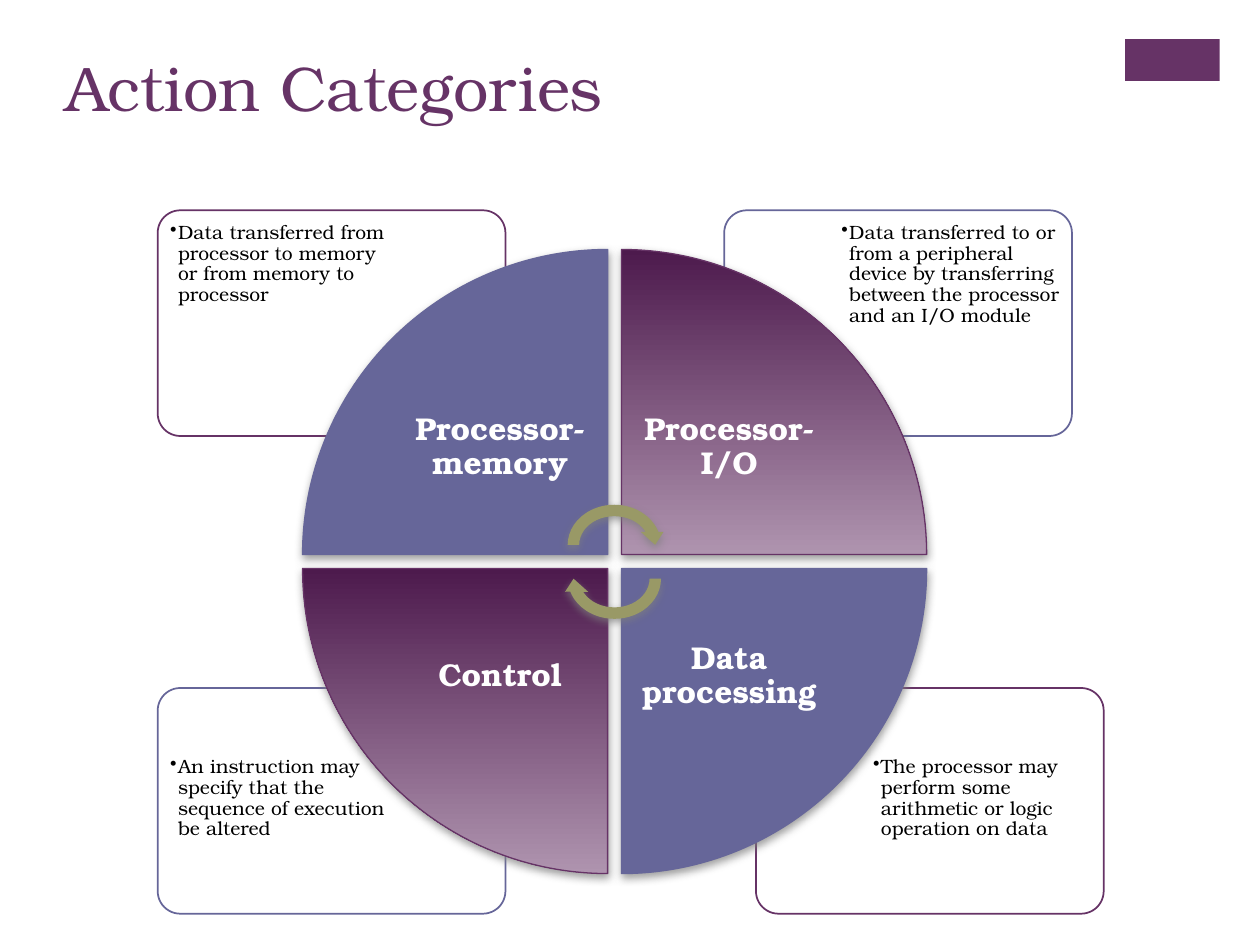
from lxml.etree import SubElement
from pptx import Presentation
from pptx.dml.color import RGBColor
from pptx.enum.shapes import MSO_SHAPE
from pptx.enum.text import MSO_ANCHOR, PP_ALIGN
from pptx.oxml.ns import qn
from pptx.util import Cm, Pt

FONT = "TeX Gyre Bonum"
PLUM = RGBColor(0x66, 0x33, 0x66)
DARK_PLUM = RGBColor(0x4D, 0x1A, 0x4D)
PALE_PLUM = RGBColor(0xAF, 0x94, 0xAF)
BLUE = RGBColor(0x66, 0x66, 0x99)
OLIVE = RGBColor(0x99, 0x99, 0x66)
WHITE = RGBColor(0xFF, 0xFF, 0xFF)
BLACK = RGBColor(0x00, 0x00, 0x00)

presentation = Presentation()
presentation.slide_width = Cm(25.4)
presentation.slide_height = Cm(19.05)
slide = presentation.slides.add_slide(presentation.slide_layouts[6])


def add_text(text, left, top, width, height, size, color, bold=False, inset=0.25,
             align=PP_ALIGN.LEFT, anchor=MSO_ANCHOR.TOP, spacing=1.0, bullet=False):
    frame = slide.shapes.add_textbox(Cm(left), Cm(top), Cm(width), Cm(height)).text_frame
    frame.word_wrap = True
    frame.vertical_anchor = anchor
    frame.margin_left = frame.margin_right = Cm(inset)
    frame.margin_top = frame.margin_bottom = Cm(min(inset, 0.36) if inset != 0.25 else 0.13)
    paragraph = frame.paragraphs[0]
    paragraph.alignment = align
    paragraph.line_spacing = spacing
    run = paragraph.add_run()
    run.text = text
    run.font.name = FONT
    run.font.size = Pt(size)
    run.font.bold = bold
    run.font.color.rgb = color
    if bullet:
        properties = paragraph._p.get_or_add_pPr()
        properties.set("marL", str(Cm(0.16)))
        properties.set("indent", str(-Cm(0.16)))
        SubElement(properties, qn("a:buChar")).set("char", "•")


def add_shape(kind, left, top, width, height, fill=None, line=None, line_width=0.75,
              rotation=0, shadow=False):
    shape = slide.shapes.add_shape(kind, Cm(left), Cm(top), Cm(width), Cm(height))
    shape.rotation = rotation
    shape.shadow.inherit = False
    if fill is None:
        shape.fill.gradient()
        shape.fill.gradient_angle = 270
        for stop, color in zip(shape.fill.gradient_stops, (DARK_PLUM, PALE_PLUM)):
            stop.color.rgb = color
        shape._element.spPr.find(qn("a:gradFill")).set("rotWithShape", "0")
    else:
        shape.fill.solid()
        shape.fill.fore_color.rgb = fill
    if line is None:
        shape.line.fill.background()
    else:
        shape.line.color.rgb = line
        shape.line.width = Pt(line_width)
    if shadow:
        effects = shape._element.spPr.find(qn("a:effectLst"))
        outer = SubElement(effects, qn("a:outerShdw"), blurRad=str(Pt(5)), dist=str(Pt(2)),
                           dir="5400000", rotWithShape="0")
        color = SubElement(outer, qn("a:srgbClr"), val="808080")
        SubElement(color, qn("a:alpha"), val="75000")
    return shape


add_shape(MSO_SHAPE.RECTANGLE, 22.68, 0.79, 1.91, 0.84, fill=PLUM)
add_text("Action Categories", 1.07, 0.84, 21.41, 3.1, size=36, color=PLUM)

BOX_WIDTH, BOX_HEIGHT = 7.01, 4.55
NOTE_WIDTH, NOTE_HEIGHT = 4.7, 3.2
notes = [
    (15.24, 13.87, PLUM, 2.21, 1.24,
     "The processor may perform some arithmetic or logic operation on data"),
    (3.18, 13.87, BLUE, 0.1, 1.24,
     "An instruction may specify that the sequence of execution be altered"),
    (14.6, 4.24, BLUE, 2.21, 0.1,
     "Data transferred to or from a peripheral device by transferring between "
     "the processor and an I/O module"),
    (3.18, 4.24, PLUM, 0.1, 0.1,
     "Data transferred from processor to memory or from memory to processor"),
]
for left, top, color, shift_x, shift_y, text in notes:
    box = add_shape(MSO_SHAPE.ROUNDED_RECTANGLE, left, top, BOX_WIDTH, BOX_HEIGHT,
                    fill=WHITE, line=color, line_width=1)
    box.adjustments[0] = 0.1
    add_text(text, left + shift_x, top + shift_y, NOTE_WIDTH, NOTE_HEIGHT, size=11,
             color=BLACK, inset=0.15, spacing=0.9, bullet=True)

WHEEL_LEFT, WHEEL_TOP = 6.1, 5.03
WEDGE, PITCH, LABEL = 6.15, 6.43, 4.34
wedges = [("Processor-memory", 0, 0), ("Processor-I/O", 1, 0),
          ("Data processing", 1, 1), ("Control", 0, 1)]
for index, (text, column, row) in enumerate(wedges):
    left = WHEEL_LEFT + column * PITCH
    top = WHEEL_TOP + row * PITCH
    fill, line = (None, PLUM) if index % 2 else (BLUE, BLUE)
    add_shape(MSO_SHAPE.PIE_WEDGE, left, top, WEDGE, WEDGE, fill=fill, line=line,
              rotation=90 * index, shadow=True)
    add_text(text, left + (1 - column) * (WEDGE - LABEL), top + (1 - row) * (WEDGE - LABEL),
             LABEL, LABEL, size=18, color=WHITE, bold=True, inset=0.36,
             align=PP_ALIGN.CENTER, anchor=MSO_ANCHOR.MIDDLE, spacing=0.9)

for top, rotation in ((10.06, 0), (10.74, 180)):
    add_shape(MSO_SHAPE.CIRCULAR_ARROW, 11.33, top, 2.11, 1.85, fill=OLIVE,
              rotation=rotation, shadow=True)

presentation.save("out.pptx")
